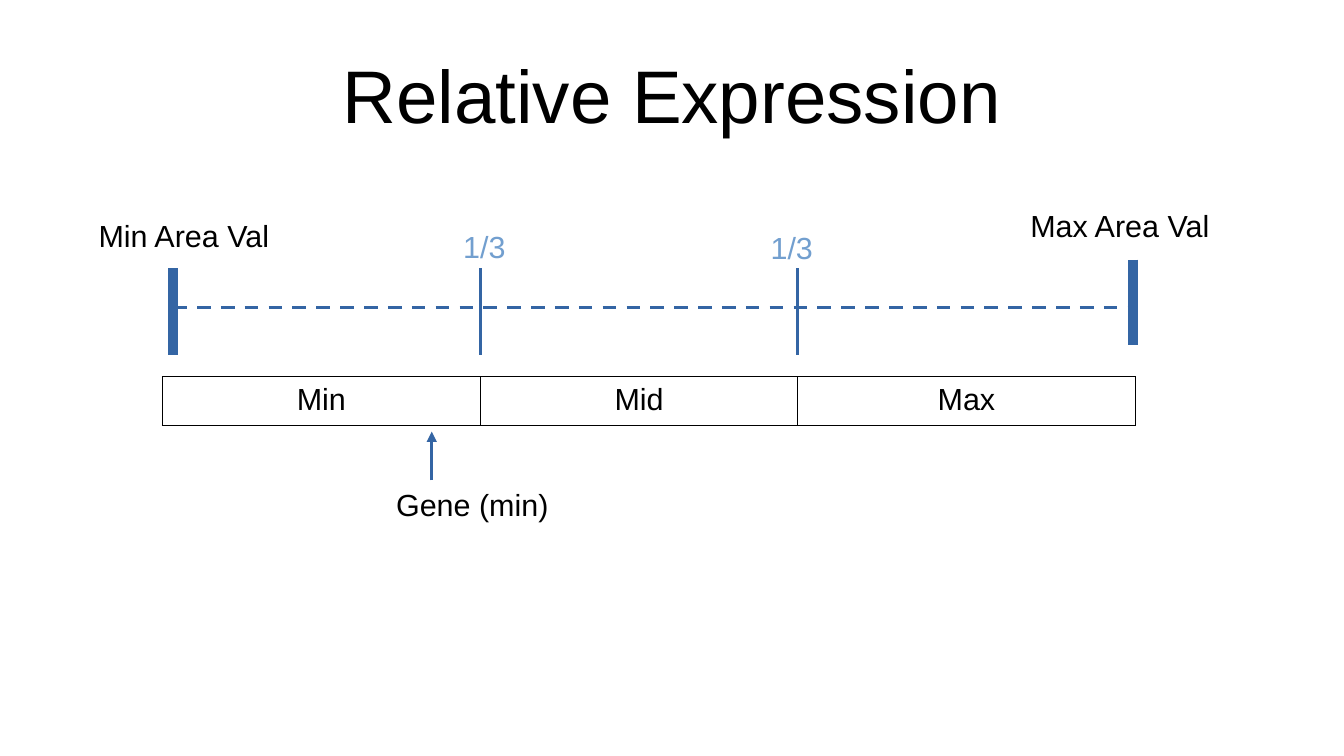
from lxml.etree import SubElement
from pptx import Presentation
from pptx.dml.color import RGBColor
from pptx.enum.dml import MSO_LINE_DASH_STYLE as DASH
from pptx.enum.shapes import MSO_CONNECTOR as CONNECTOR
from pptx.enum.text import MSO_ANCHOR as ANCHOR, PP_ALIGN as ALIGN
from pptx.oxml.ns import qn
from pptx.util import Pt

PX = 9144
THEME = {
    "font": "Arial",
    "text": "000000",
    "line": "3465A4",
    "fraction": "729FCF",
    "title_size": 44,
    "body_size": 18,
    "bar_width": 5.67,
    "hairline": 0,
    "border_width": 0.57,
}


def write(text_frame, text, size="body_size", color="text", align=ALIGN.LEFT):
    text_frame.text = text
    paragraph = text_frame.paragraphs[0]
    paragraph.alignment = align
    font = paragraph.runs[0].font
    font.name = THEME["font"]
    font.size = Pt(THEME[size])
    font.color.rgb = RGBColor.from_string(THEME[color])


def draw_line(slide, x1, y1, x2, y2, width="hairline"):
    connector = slide.shapes.add_connector(
        CONNECTOR.STRAIGHT, x1 * PX, y1 * PX, x2 * PX, y2 * PX)
    connector.line.color.rgb = RGBColor.from_string(THEME["line"])
    connector.line.width = Pt(THEME[width])
    SubElement(connector._element.spPr, qn("a:effectLst"))
    return connector


presentation = Presentation()
presentation.slide_width = 1102 * PX
presentation.slide_height = 620 * PX
slide = presentation.slides.add_slide(presentation.slide_layouts[5])

title = slide.shapes.title
title.left, title.top, title.width, title.height = 55 * PX, 25 * PX, 992 * PX, 104 * PX
title_frame = title.text_frame
title_frame.margin_left = title_frame.margin_right = 0
title_frame.margin_top = title_frame.margin_bottom = 0
title_frame.vertical_anchor = ANCHOR.MIDDLE
write(title_frame, "Relative Expression", "title_size", align=ALIGN.CENTER)

draw_line(slide, 142, 220, 142, 291, "bar_width")
draw_line(slide, 929, 213, 929, 283, "bar_width")
draw_line(slide, 142, 252, 929, 252).line.dash_style = DASH.DASH
for tick_x in (394, 654):
    draw_line(slide, tick_x, 220, tick_x, 291)

labels = [
    ("Min Area Val", 71, 173, 205, 47, "text"),
    ("Max Area Val", 835, 165, 205, 47, "text"),
    ("1/3", 370, 182, 63, 39, "fraction"),
    ("1/3", 622, 183, 63, 38, "fraction"),
    ("Gene (min)", 315, 394, 150, 66, "text"),
]
for text, left, top, width, height, color in labels:
    label = slide.shapes.add_textbox(left * PX, top * PX, width * PX, height * PX)
    label.text_frame.word_wrap = True
    write(label.text_frame, text, color=color)

ranges = [("Min", 261), ("Mid", 260), ("Max", 277)]
table = slide.shapes.add_table(
    1, len(ranges), 133 * PX, 309 * PX, 798 * PX, 38 * PX).table
for index, (text, width) in enumerate(ranges):
    table.columns[index].width = width * PX
    cell = table.cell(0, index)
    write(cell.text_frame, text, align=ALIGN.CENTER)
    properties = cell._tc.get_or_add_tcPr()
    for side in ("a:lnL", "a:lnR", "a:lnT", "a:lnB"):
        border = SubElement(properties, qn(side), w=str(Pt(THEME["border_width"])))
        fill = SubElement(border, qn("a:solidFill"))
        SubElement(fill, qn("a:srgbClr"), val=THEME["text"])
    cell.fill.background()

gene_arrow = draw_line(slide, 354, 394, 354, 354)
SubElement(gene_arrow.line._get_or_add_ln(), qn("a:tailEnd"), type="triangle")

presentation.save("out.pptx")
